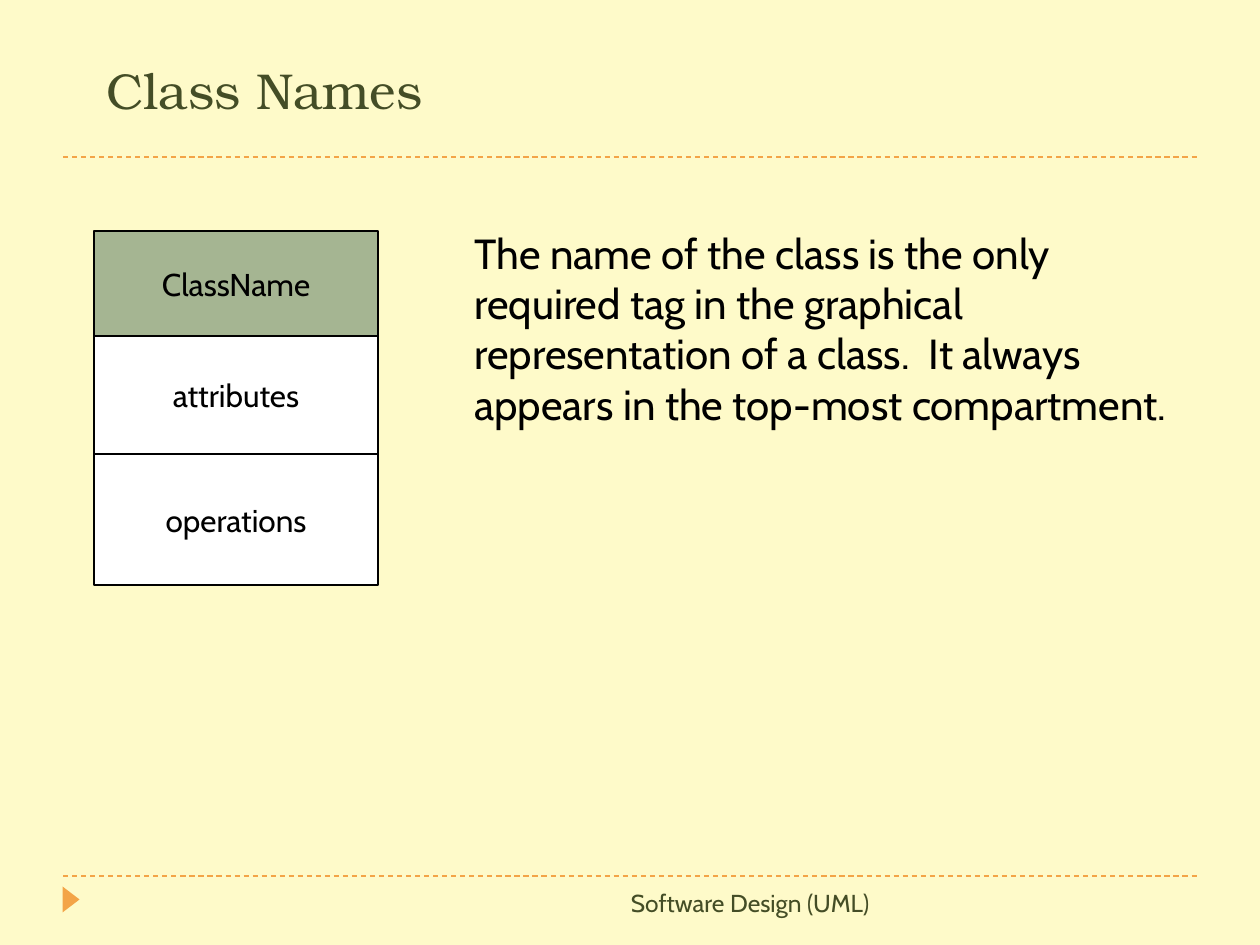
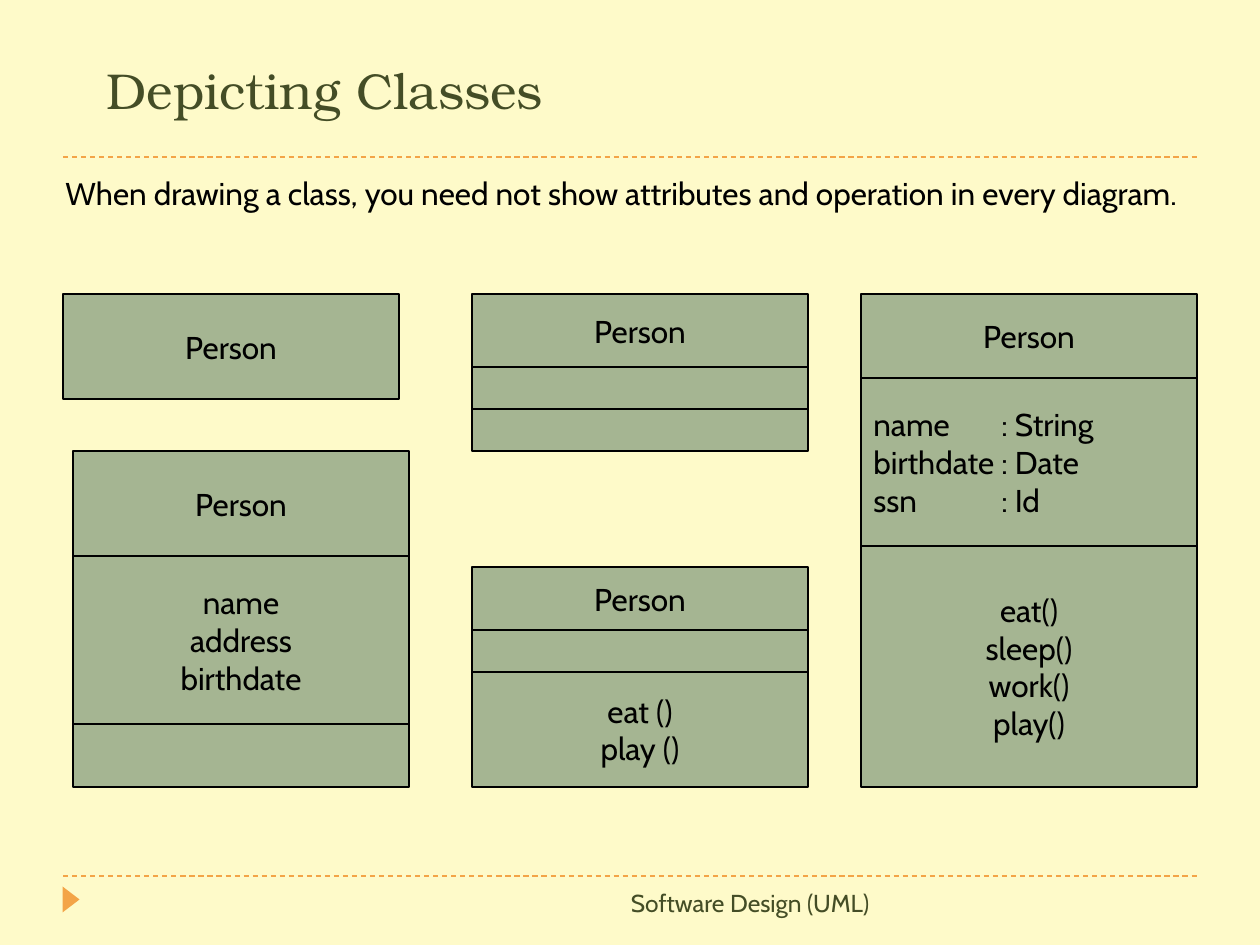
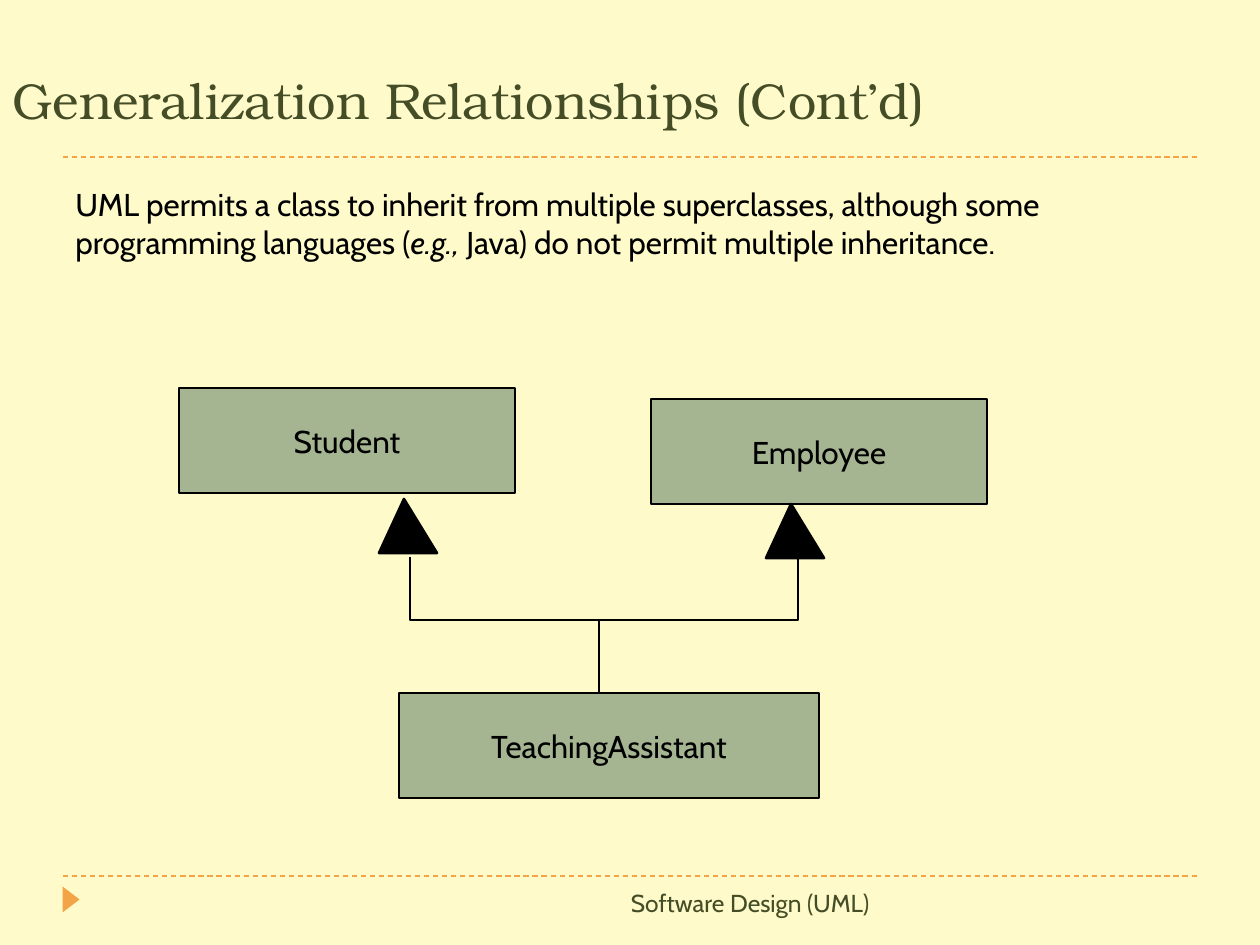
"""Build three slides on UML class notation."""
from dataclasses import dataclass

from pptx import Presentation
from pptx import util as u
from pptx.dml import color
from pptx.enum import dml, shapes, text
from pptx.oxml import ns, xmlchemy

SCALE = 914400 / 126
WIDTH, HEIGHT = 1260, 945
CLASS_WIDTH, NAME_HEIGHT = 336, 105


@dataclass(frozen=True)
class Theme:
    """Hold the colours, fonts and type sizes of the deck."""
    paper: str = "FEFAC9"
    accent: str = "F3A447"
    heading: str = "444D26"
    ink: str = "000000"
    sage: str = "A5B592"
    white: str = "FFFFFF"
    body_font: str = "Cabin"
    title_font: str = "TeX Gyre Bonum"
    title_size: float = 28.8
    lead_size: float = 24
    body_size: float = 18
    footer_size: float = 14
    thin: float = 0.75
    medium: float = 1
    thick: float = 1.5


THEME = Theme()


def px(length):
    """Turn pixels into EMU."""
    return u.Emu(round(length * SCALE))


def place(box):
    """Turn a pixel box into EMU lengths."""
    return [px(length) for length in box]


def rgb(value):
    """Make a colour from its hex value."""
    return color.RGBColor.from_string(value)


def apply(target, values):
    """Set each attribute named in a dict of format values."""
    for name, value in values.items():
        setattr(target, name, value)


def paint(shape, fill=None, line=None, width=THEME.thin):
    """Give a shape its fill and outline and take off its shadow."""
    shape.shadow.inherit = False
    if fill:
        shape.fill.solid()
        shape.fill.fore_color.rgb = rgb(fill)
    else:
        shape.fill.background()
    if line:
        shape.line.color.rgb = rgb(line)
        shape.line.width = u.Pt(width)
    else:
        shape.line.fill.background()


def add_tab(paragraph, position):
    """Add a left tab stop to a paragraph."""
    tabs = xmlchemy.OxmlElement("a:tabLst")
    tab = xmlchemy.OxmlElement("a:tab")
    tab.set("pos", str(px(position)))
    tab.set("algn", "l")
    tabs.append(tab)
    paragraph._p.get_or_add_pPr().append(tabs)


def write(shape, lines, size=THEME.body_size, font=THEME.body_font, ink=THEME.ink,
          align="LEFT", anchor="TOP", tab=None):
    """Write lines, each a string or a list of (words, italic) runs."""
    frame = shape.text_frame
    apply(frame, {"word_wrap": True, "auto_size": text.MSO_AUTO_SIZE.NONE,
                  "vertical_anchor": text.MSO_ANCHOR[anchor]})
    for index, line in enumerate(lines):
        paragraph = frame.add_paragraph() if index else frame.paragraphs[0]
        paragraph.alignment = text.PP_ALIGN[align]
        if tab:
            add_tab(paragraph, tab)
        for words, italic in [(line, None)] if isinstance(line, str) else line:
            run = paragraph.add_run()
            run.text = words
            apply(run.font, {"name": font, "size": u.Pt(size), "italic": italic})
            run.font.color.rgb = rgb(ink)


def add_text(slide, box, lines, **style):
    """Add a text box."""
    write(slide.shapes.add_textbox(*place(box)), lines, **style)


def add_line(slide, start, end, ink, width, dash=None):
    """Add a straight line between two points."""
    line = slide.shapes.add_connector(shapes.MSO_CONNECTOR.STRAIGHT, *place(start + end))
    line.line.color.rgb = rgb(ink)
    apply(line.line, {"width": u.Pt(width), "dash_style": dash})
    line._element.find(ns.qn("p:spPr")).append(xmlchemy.OxmlElement("a:effectLst"))


def add_outline(slide, points, closed, **style):
    """Draw a freeform through the points."""
    builder = slide.shapes.build_freeform(*points[0], scale=SCALE)
    builder.add_line_segments(points[1:], close=closed)
    paint(builder.convert_to_shape(), line=THEME.ink, **style)


def add_compartment(owner, box, lines, fill=THEME.sage, **style):
    """Add one outlined compartment of a class."""
    shape = owner.add_shape(shapes.MSO_SHAPE.RECTANGLE, *place(box))
    paint(shape, fill, THEME.ink)
    write(shape, lines, **{"align": "CENTER", "anchor": "MIDDLE", **style})


def add_class(slide, left, top, compartments, width=CLASS_WIDTH):
    """Stack compartments, each (height, lines, style), into a class."""
    owner = slide.shapes
    if len(compartments) > 1:
        owner = owner.add_group_shape().shapes
    for height, lines, style in compartments:
        add_compartment(owner, (left, top, width, height), lines, **style)
        top += height


def add_arrowhead(slide, left, top):
    """Draw a solid generalization arrowhead."""
    points = [(left + 25, top), (left, top + 54), (left + 58, top + 54)]
    add_outline(slide, points, True, fill=THEME.ink, width=THEME.thick)


def add_frame(slide):
    """Draw the dashed rules, the marker and the footer."""
    for y in (876, 157):
        add_line(slide, (63, y), (1197, y), THEME.accent, THEME.thin, dml.MSO_LINE.DASH)
    marker = slide.shapes.add_shape(shapes.MSO_SHAPE.ISOSCELES_TRIANGLE,
                                    *place((58, 891, 26, 17)))
    marker.rotation = 90
    paint(marker, THEME.accent)
    add_text(slide, (325, 882, 557, 63), ["Software Design (UML)"],
             size=THEME.footer_size, ink=THEME.heading, align="RIGHT")


def add_titled_slide(presentation, title, box=(94, 53, 1081, 73)):
    """Add a slide with the shared frame and a title."""
    slide = presentation.slides.add_slide(presentation.slide_layouts[5])
    add_frame(slide)
    heading = slide.shapes.title
    apply(heading, dict(zip(("left", "top", "width", "height"), place(box))))
    write(heading, [title], size=THEME.title_size, font=THEME.title_font,
          ink=THEME.heading, anchor="BOTTOM")
    return slide


def build_class_names(presentation):
    """Build the slide on the name compartment."""
    slide = add_titled_slide(presentation, "Class Names")
    plain = {"fill": THEME.white}
    add_class(slide, 94, 231, [(105, ["ClassName"], {}), (118, ["attributes"], plain),
                               (131, ["operations"], plain)], width=284)
    add_text(slide, (462, 221, 756, 217),
             ["The name of the class is the only required tag in the graphical "
              "representation of a class.  It always appears in the top-most "
              "compartment."], size=THEME.lead_size)


def build_depicting_classes(presentation):
    """Build the slide on the ways to show one class."""
    slide = add_titled_slide(presentation, "Depicting Classes")
    add_text(slide, (53, 168, 1150, 50),
             ["When drawing a class, you need not show attributes and operation "
              "in every diagram."])
    fields = ["name\t: String", "birthdate\t: Date", "ssn\t: Id"]
    person, blank = ["Person"], (42, [], {})
    diagrams = [
        (861, 294, [(84, person, {}), (168, fields, {"align": "LEFT", "tab": 128}),
                    (241, ["eat()", "sleep()", "work()", "play()"], {})]),
        (63, 294, [(NAME_HEIGHT, person, {})]),
        (73, 451, [(NAME_HEIGHT, person, {}),
                   (168, ["name", "address", "birthdate"], {}), (63, [], {})]),
        (472, 567, [(63, person, {}), blank, (115, ["eat ()", "play ()"], {})]),
        (472, 294, [(73, person, {}), blank, blank]),
    ]
    for diagram in diagrams:
        add_class(slide, *diagram)


def build_generalization(presentation):
    """Build the slide on multiple inheritance."""
    slide = add_titled_slide(presentation, "Generalization Relationships (Cont’d)",
                             (0, 63, 1281, 73))
    add_text(slide, (63, 179, 1124, 164),
             [[("UML permits a class to inherit from multiple superclasses, although "
                "some programming languages (", None), ("e.g.,", True),
               (" Java) do not permit multiple inheritance.", None)]])
    for name, left, top, width in (("Student", 179, 388, CLASS_WIDTH),
                                   ("TeachingAssistant", 399, 693, 420),
                                   ("Employee", 651, 399, CLASS_WIDTH)):
        add_class(slide, left, top, [(NAME_HEIGHT, [name], {})], width)
    add_line(slide, (599, 620), (599, 693), THEME.ink, THEME.medium)
    for left, top in ((379, 499), (766, 504)):
        add_arrowhead(slide, left, top)
    add_outline(slide, [(410, 557), (410, 620), (798, 620), (798, 557)], False,
                width=THEME.medium)


def main():
    """Build and save the presentation."""
    presentation = Presentation()
    apply(presentation, {"slide_width": px(WIDTH), "slide_height": px(HEIGHT)})
    background = presentation.slide_master.background.fill
    background.solid()
    background.fore_color.rgb = rgb(THEME.paper)
    for build in (build_class_names, build_depicting_classes, build_generalization):
        build(presentation)
    presentation.save("out.pptx")


if __name__ == "__main__":
    main()
